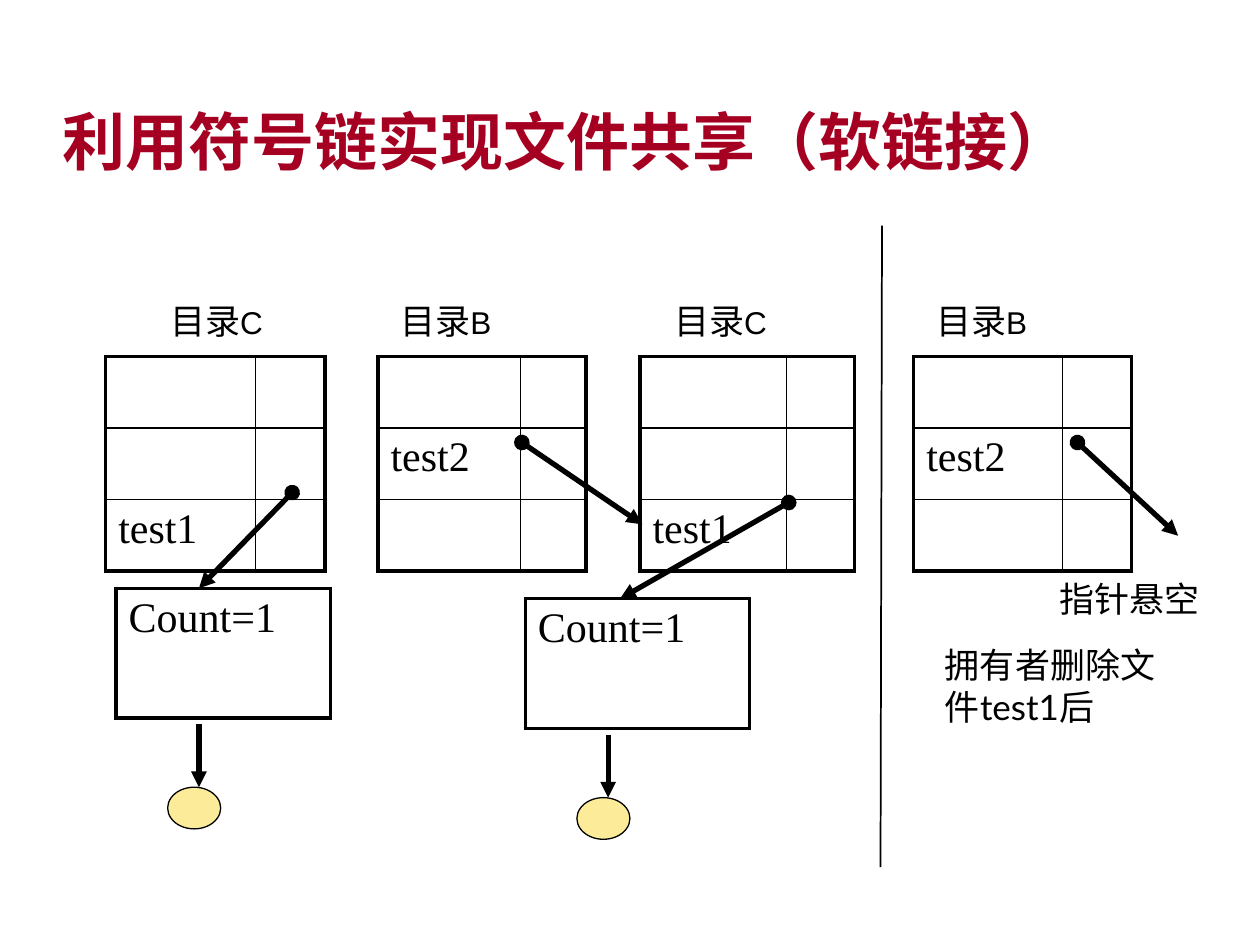
from dataclasses import dataclass

from lxml.etree import SubElement
from pptx import Presentation
from pptx.dml.color import RGBColor
from pptx.enum.shapes import MSO_CONNECTOR as Connector, MSO_SHAPE as Shape
from pptx.enum.text import MSO_ANCHOR as Anchor
from pptx.oxml.ns import qn
from pptx.util import Cm, Pt


@dataclass(frozen=True)
class Theme:
    ink: str = "000000"
    title_color: str = "A50021"
    file_fill: str = "FCEB98"
    title_font: str = "Arial"
    body_font: str = "Lato"
    table_font: str = "Times New Roman"
    title_size: float = 36
    table_size: float = 24
    body_size: float = 20
    letter_size: float = 18
    heavy: float = 3
    outer: float = 2.25
    thin: float = 1
    hairline: float = 0.75


def write_text(paragraph, text, *, size, font, color, bold=False):
    run = paragraph.add_run()
    run.text = text
    run.font.size = Pt(size)
    run.font.name = font
    run.font.bold = bold
    run.font.color.rgb = RGBColor.from_string(color)


class SlideBuilder:
    def __init__(self, slide, theme):
        self.slide = slide
        self.theme = theme

    def text(self, left, top, width, height, *runs, anchor=Anchor.TOP, line_spacing=None):
        """Each run is a pair of its text and its format."""
        box = self.slide.shapes.add_textbox(Cm(left), Cm(top), Cm(width), Cm(height))
        frame = box.text_frame
        frame.word_wrap = True
        frame.vertical_anchor = anchor
        paragraph = frame.paragraphs[0]
        paragraph.line_spacing = line_spacing
        for text, style in runs:
            write_text(paragraph, text, **style)

    def body_style(self):
        return dict(size=self.theme.body_size, font=self.theme.body_font, color=self.theme.ink)

    def title(self, text):
        theme = self.theme
        style = dict(size=theme.title_size, font=theme.title_font,
                     color=theme.title_color, bold=True)
        self.text(1.02, 1.98, 23.32, 1.75, (text, style),
                  anchor=Anchor.BOTTOM, line_spacing=0.9)

    def note(self, left, top, width, height, text):
        self.text(left, top, width, height, (text, self.body_style()))

    def label(self, left, letter):
        theme = self.theme
        letter_style = dict(size=theme.letter_size, font=theme.title_font, color=theme.ink)
        self.text(left, 5.92, 3.61, 1.27, ("目录", self.body_style()), (letter, letter_style))

    def border(self, cell, side, width):
        line = SubElement(cell._tc.get_or_add_tcPr(), qn(f"a:ln{side}"), w=str(Pt(width)))
        fill = SubElement(line, qn("a:solidFill"))
        SubElement(fill, qn("a:srgbClr"), val=self.theme.ink)

    def table(self, left, top, column_widths, row_height, texts):
        """Draw a grid with a heavy frame; texts maps (row, column) to wording."""
        theme = self.theme
        row_count = max(row for row, _ in texts) + 1
        row_count = 3 if len(column_widths) > 1 else row_count
        last_row, last_column = row_count - 1, len(column_widths) - 1
        table = self.slide.shapes.add_table(
            row_count, len(column_widths), Cm(left), Cm(top),
            Cm(sum(column_widths)), Cm(row_height * row_count)).table
        table.first_row = table.horz_banding = False
        for column, width in zip(table.columns, column_widths):
            column.width = Cm(width)
        for r, row in enumerate(table.rows):
            row.height = Cm(row_height)
            for c, cell in enumerate(row.cells):
                on_frame = {"L": c == 0, "R": c == last_column, "T": r == 0, "B": r == last_row}
                for side, is_outer in on_frame.items():
                    self.border(cell, side, theme.outer if is_outer else theme.thin)
                cell.fill.background()
                if (r, c) in texts:
                    write_text(cell.text_frame.paragraphs[0], texts[r, c],
                               size=theme.table_size, font=theme.table_font, color=theme.ink)

    def directory(self, left, width, row, name):
        name_width = round(width * 0.684, 2)
        self.table(left, 7.19, (name_width, width - name_width), 1.44, {(row, 0): name})

    def line(self, start, end, width, head=None, tail=None):
        connector = self.slide.shapes.add_connector(
            Connector.STRAIGHT, *map(Cm, start), *map(Cm, end))
        connector.line.width = Pt(width)
        connector.line.color.rgb = RGBColor.from_string(self.theme.ink)
        properties = connector._element.spPr
        outline = properties.find(qn("a:ln"))
        for tag, kind in (("a:headEnd", head), ("a:tailEnd", tail)):
            if kind:
                SubElement(outline, qn(tag), type=kind)
        SubElement(properties, qn("a:effectLst"))

    def arrow(self, start, end, head=None):
        self.line(start, end, self.theme.heavy, head, "triangle")

    def pointer(self, start, end):
        self.arrow(start, end, head="oval")

    def file(self, left, top):
        shape = self.slide.shapes.add_shape(Shape.OVAL, Cm(left), Cm(top), Cm(1.07), Cm(0.84))
        shape.shadow.inherit = False
        shape.fill.solid()
        shape.fill.fore_color.rgb = RGBColor.from_string(self.theme.file_fill)
        shape.line.color.rgb = RGBColor.from_string(self.theme.ink)
        shape.line.width = Pt(self.theme.hairline)

    def index_node(self, left, top, width):
        """A counter box whose arrow leads down to the file."""
        self.table(left, top, (width,), 2.61, {(0, 0): "Count=1"})
        arrow_x, arrow_top, file_top = left + 1.67, top + 2.74, top + 4.01
        self.file(left + 1.04, file_top)
        self.arrow((arrow_x, arrow_top), (arrow_x, file_top))


def main():
    presentation = Presentation()
    presentation.slide_width, presentation.slide_height = Cm(25.4), Cm(19.05)
    theme = Theme()
    builder = SlideBuilder(presentation.slides.add_slide(presentation.slide_layouts[6]), theme)

    builder.title("利用符号链实现文件共享（软链接）")

    # Directories: label left, letter, table left, table width, file row, file name
    directories = [
        (3.18, "C", 2.13, 4.42, 2, "test1"),
        (7.82, "B", 7.62, 4.19, 1, "test2"),
        (13.34, "C", 12.9, 4.32, 2, "test1"),
        (18.62, "B", 18.42, 4.39, 1, "test2"),
    ]
    for label_left, letter, *directory in directories:
        builder.label(label_left, letter)
        builder.directory(*directory)

    # Index nodes with their files
    builder.index_node(2.34, 11.86, 4.32)
    builder.index_node(10.59, 12.07, 4.52)

    # Pointers out of the directory entries
    pointers = [
        ((5.89, 9.93), (4.01, 11.86)),
        ((10.52, 8.92), (12.95, 10.57)),
        ((15.9, 10.13), (12.5, 12.07)),
        ((21.72, 8.92), (23.75, 10.8)),
    ]
    for start, end in pointers:
        builder.pointer(start, end)

    # State after deletion
    builder.line((17.78, 4.55), (17.75, 17.48), theme.thin)
    builder.note(21.11, 11.51, 3.81, 1.09, "指针悬空")
    builder.note(18.8, 12.85, 5.16, 1.96, "拥有者删除文件test1后")

    presentation.save("out.pptx")


if __name__ == "__main__":
    main()
